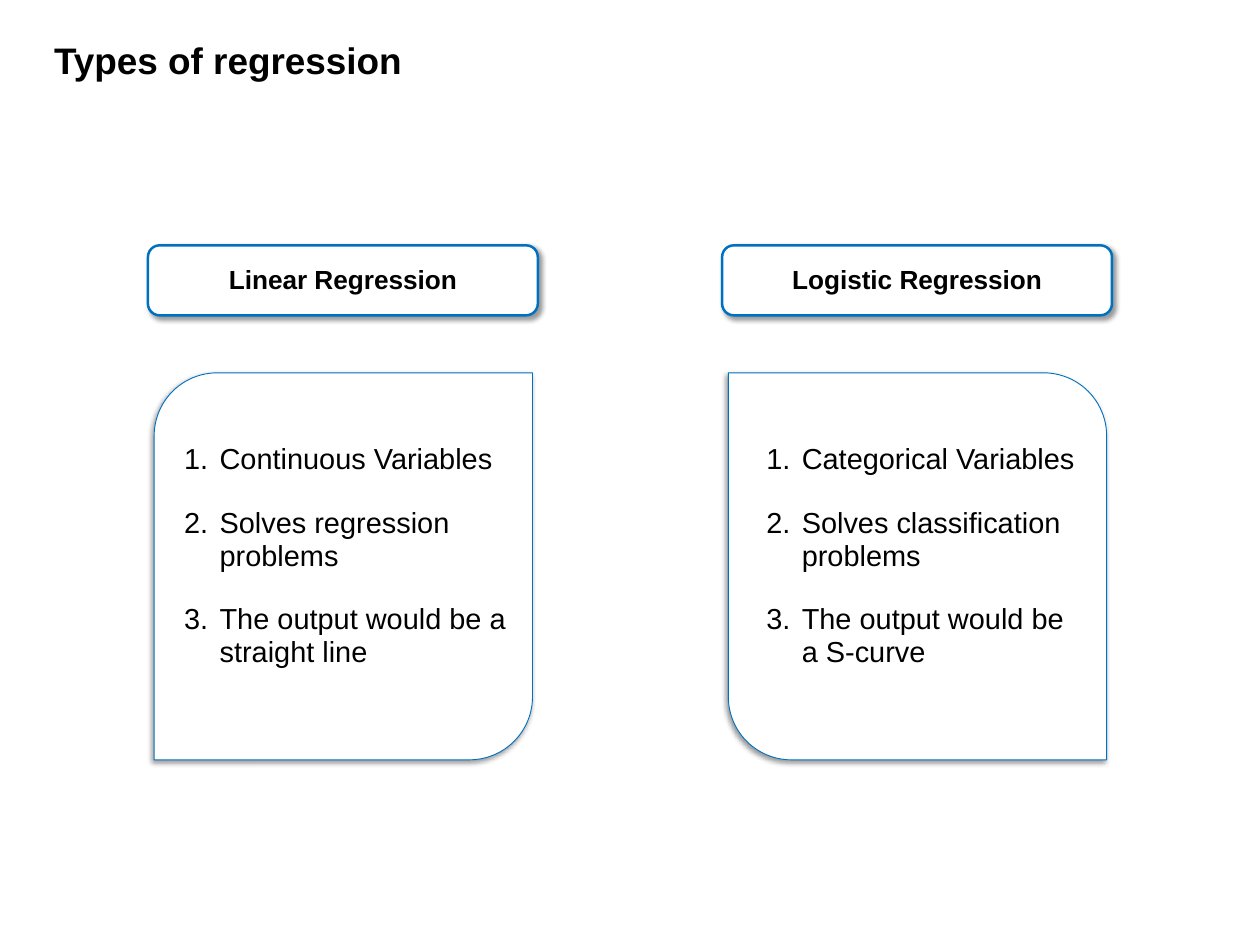
from dataclasses import dataclass

from lxml.etree import SubElement
from pptx import Presentation
from pptx.dml.color import RGBColor as Color
from pptx.enum.shapes import MSO_SHAPE as Form
from pptx.enum.text import MSO_ANCHOR as Anchor, PP_ALIGN as Align
from pptx.oxml.ns import qn
from pptx.util import Inches, Pt


@dataclass(frozen=True)
class Theme:
    font: str = "Arial"
    ink: str = "000000"
    paper: str = "FFFFFF"
    edge: str = "0070C0"
    title: float = 30
    head: float = 21.3
    body: float = 23.5
    lead: float = 0.94
    gap: float = 25.3


THEME = Theme()
ROUND = 0.1667
COLUMNS = [
    (1.67, "Linear Regression", (ROUND, 0), (0.31, 3.85),
     ["Continuous Variables", "Solves regression problems",
      "The output would be a straight line"]),
    (8.15, "Logistic Regression", (0, ROUND), (0.4, 3.69),
     ["Categorical Variables", "Solves classification problems",
      "The output would be a S-curve"]),
]


def add_run(para, text, size, bold=False):
    para.line_spacing = THEME.lead
    run = para.add_run()
    run.text = text
    font = run.font
    font.name = THEME.font
    font.size = Pt(size)
    font.bold = bold
    font.color.rgb = Color.from_string(THEME.ink)


def add_shade(shape, angle):
    shape.shadow.inherit = False
    effects = shape._element.spPr.find(qn("a:effectLst"))
    shade = SubElement(effects, qn("a:outerShdw"), blurRad=str(Pt(4)),
                       dist=str(Pt(3)), dir=str(angle * 60000),
                       rotWithShape="0")
    tint = SubElement(shade, qn("a:srgbClr"), val=THEME.ink)
    SubElement(tint, qn("a:alpha"), val="40000")


def add_card(slide, form, box, width, angle):
    card = slide.shapes.add_shape(form, *map(Inches, box))
    card.fill.solid()
    card.fill.fore_color.rgb = Color.from_string(THEME.paper)
    card.line.color.rgb = Color.from_string(THEME.edge)
    card.line.width = Pt(width)
    add_shade(card, angle)
    return card


def add_panel(slide, left, bends):
    panel = add_card(slide, Form.ROUND_2_DIAG_RECTANGLE,
                     (left, 4.21, 4.27, 4.37), 0.75, 135)
    for index, bend in enumerate(bends):
        panel.adjustments[index] = bend


def add_head(slide, left, text):
    head = add_card(slide, Form.ROUNDED_RECTANGLE,
                    (left, 2.77, 4.4, 0.79), 2, 45)
    frame = head.text_frame
    frame.vertical_anchor = Anchor.MIDDLE
    para = frame.paragraphs[0]
    para.alignment = Align.CENTER
    add_run(para, text, THEME.head, True)


def add_list(slide, left, width, items):
    box = slide.shapes.add_textbox(Inches(left), Inches(4.96),
                                   Inches(width), Inches(2.59))
    frame = box.text_frame
    frame.word_wrap = True
    for index, item in enumerate(items):
        para = frame.add_paragraph() if index else frame.paragraphs[0]
        props = para._p.get_or_add_pPr()
        props.set("marL", str(Inches(0.4)))
        props.set("indent", str(Inches(-0.4)))
        SubElement(props, qn("a:buFont"), typeface=THEME.font)
        SubElement(props, qn("a:buAutoNum"), type="arabicPeriod")
        if index:
            para.space_before = Pt(THEME.gap)
        add_run(para, item, THEME.body)


def set_title(slide, text):
    title = slide.shapes.title
    title.left, title.top = Inches(0.51), Inches(0.41)
    title.width, title.height = Inches(7.34), Inches(0.56)
    frame = title.text_frame
    frame.word_wrap = True
    frame.vertical_anchor = Anchor.TOP
    para = frame.paragraphs[0]
    para.alignment = Align.LEFT
    para.space_before = Pt(0)
    add_run(para, text, THEME.title, True)


def main():
    deck = Presentation()
    deck.slide_width, deck.slide_height = Inches(14.22), Inches(10.67)
    slide = deck.slides.add_slide(deck.slide_layouts[5])
    set_title(slide, "Types of regression")
    for left, head, bends, (inset, width), items in COLUMNS:
        add_panel(slide, left + 0.07, bends)
        add_list(slide, left + inset, width, items)
        add_head(slide, left, head)
    deck.save("out.pptx")


if __name__ == "__main__":
    main()
